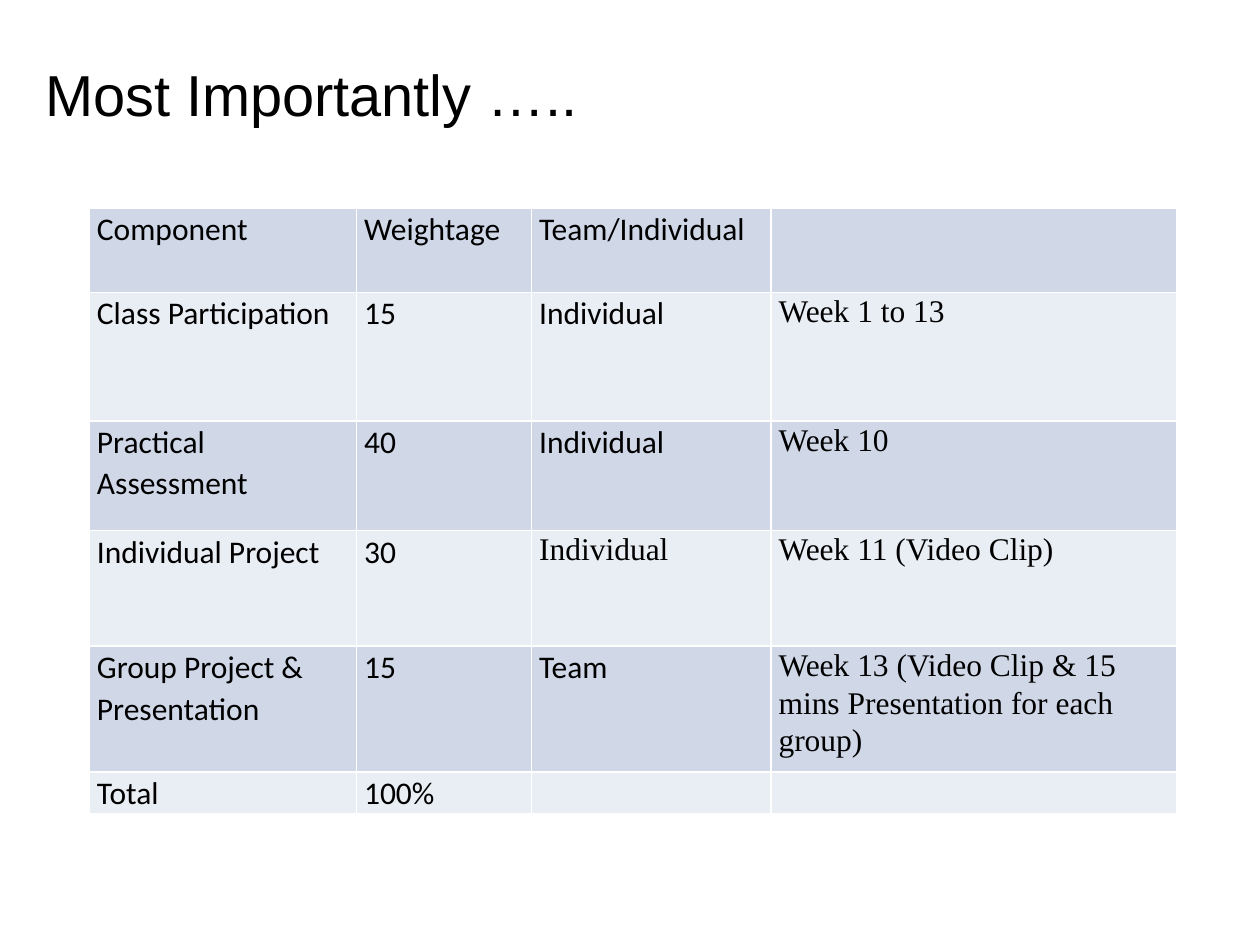
from lxml import etree
from pptx import Presentation
from pptx.dml.color import RGBColor
from pptx.enum.text import MSO_ANCHOR
from pptx.oxml.ns import qn
from pptx.util import Inches, Pt

MIDDLE = MSO_ANCHOR.MIDDLE
BLACK = RGBColor(0x00, 0x00, 0x00)
WHITE = RGBColor(0xFF, 0xFF, 0xFF)
BANDS = (RGBColor(0xD0, 0xD8, 0xE8), RGBColor(0xE9, 0xED, 0xF4))
SANS, SERIF = "Calibri", "Times New Roman"

COLUMN_WIDTHS = (2.12, 1.39, 1.9, 3.22)
ROW_HEIGHTS = (0.67, 1.02, 0.87, 0.92, 1, 0.32)
ROWS = (
    ("Component", "Weightage", "Team/Individual", ""),
    ("Class Participation", "15", "Individual", "Week 1 to 13"),
    ("Practical Assessment", "40", "Individual", "Week 10"),
    ("Individual Project", "30", "Individual", "Week 11 (Video Clip)"),
    ("Group Project & Presentation", "15", "Team",
     "Week 13 (Video Clip & 15 mins Presentation for each group)"),
    ("Total", "100%", "", ""),
)
SCHEDULE_COLUMN = 3
SERIF_CELLS = {(3, 2)} | {(row, SCHEDULE_COLUMN) for row in range(len(ROWS))}


class SlideBuilder:
    """Holds the text style and the current page."""

    def __init__(self, page):
        """Start building on the given page."""
        self.page = page

    def style_text(self, para, text, font, size):
        """Put styled text in a paragraph."""
        para.text = text
        para.font.name = font
        para.font.size = Pt(size)
        para.font.color.rgb = BLACK

    def title(self, text, left, top, width, height):
        """Add the slide heading."""
        box = self.page.shapes.add_textbox(
            Inches(left), Inches(top), Inches(width), Inches(height))
        frame = box.text_frame
        frame.word_wrap = True
        frame.vertical_anchor = MIDDLE
        self.style_text(frame.paragraphs[0], text, "Arial", 33)

    def borders(self, cell):
        """Draw a thin white line on each side of a cell."""
        properties = cell._tc.get_or_add_tcPr()
        for position, side in enumerate(("lnL", "lnR", "lnT", "lnB")):
            line = etree.Element(qn(f"a:{side}"), w=str(Pt(1)))
            fill = etree.SubElement(line, qn("a:solidFill"))
            etree.SubElement(fill, qn("a:srgbClr"), val=str(WHITE))
            properties.insert(position, line)

    def cell(self, cell, text, font, color):
        """Fill one table cell."""
        cell.fill.solid()
        cell.fill.fore_color.rgb = color
        cell.margin_left = cell.margin_right = Inches(0.06)
        cell.margin_top = cell.margin_bottom = 0
        para = cell.text_frame.paragraphs[0]
        para.line_spacing = 1.07
        self.style_text(para, text, font, 18)
        self.borders(cell)

    def table(self, left, top):
        """Add the table of assessment components."""
        table = self.page.shapes.add_table(
            len(ROWS), len(COLUMN_WIDTHS), Inches(left), Inches(top),
            Inches(sum(COLUMN_WIDTHS)), Inches(sum(ROW_HEIGHTS))).table
        for column, width in zip(table.columns, COLUMN_WIDTHS):
            column.width = Inches(width)
        for row, (height, texts) in enumerate(zip(ROW_HEIGHTS, ROWS)):
            table.rows[row].height = Inches(height)
            for column, text in enumerate(texts):
                font = SERIF if (row, column) in SERIF_CELLS else SANS
                self.cell(table.cell(row, column), text, font, BANDS[row % 2])


def main():
    """Build and save the deck."""
    deck = Presentation()
    deck.slide_width, deck.slide_height = Inches(10), Inches(7.5)
    builder = SlideBuilder(deck.slides.add_slide(deck.slide_layouts[6]))
    builder.table(0.71, 1.65)
    builder.title("Most Importantly …..", 0.26, 0.27, 6.75, 0.94)
    deck.save("out.pptx")


main()
